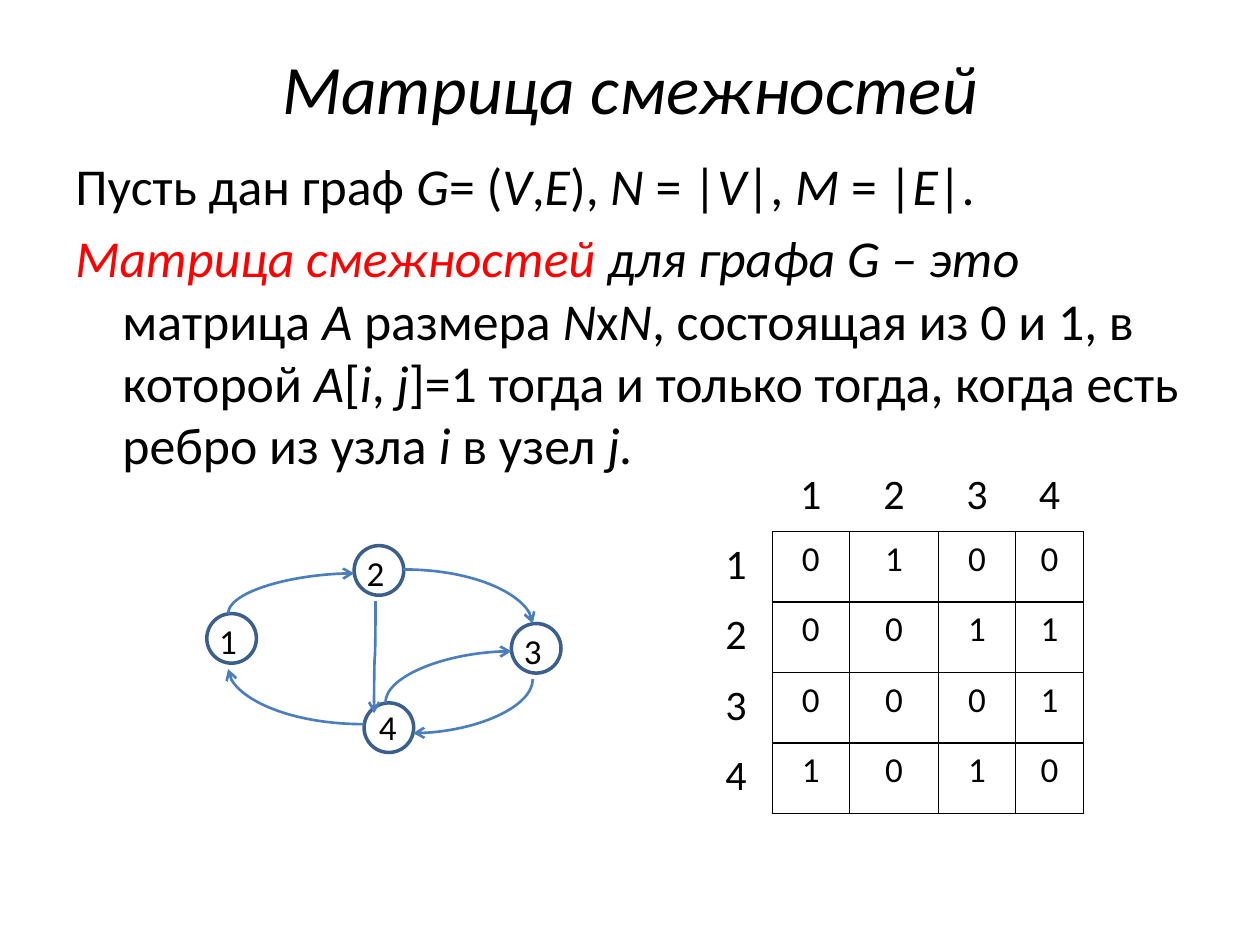
from dataclasses import dataclass

from lxml import etree
from pptx import Presentation
from pptx.dml.color import RGBColor
from pptx.enum.shapes import MSO_CONNECTOR, MSO_SHAPE
from pptx.enum.text import MSO_ANCHOR, PP_ALIGN
from pptx.oxml.ns import qn
from pptx.util import Cm, Pt

CURVE = MSO_CONNECTOR.CURVE
ELLIPSE = MSO_SHAPE.OVAL
CENTER = PP_ALIGN.CENTER
MIDDLE = MSO_ANCHOR.MIDDLE
PLAIN_TABLE = "{2D5ABB26-0587-4C30-8999-92F81FD0307C}"


@dataclass(frozen=True)
class Theme:
    font: str = "Calibri"
    ink: str = "000000"
    term: str = "FF0000"
    node_line: str = "3A5F8C"
    edge_line: str = "4B7EBC"
    title: float = 39.6
    body: float = 29.6
    heading: float = 24
    label: float = 20


THEME = Theme()

TITLE = "*Матрица смежностей*"
# Asterisks enclose italics.
DEFINITION = [
    "Пусть дан граф *G*= (*V*,*E*), *N* = |*V*|, *M* = |*E*|.",
    "*Матрица смежностей **для графа G – это *матрица *A* размера *N*х*N*, "
    "состоящая из 0 и 1, в которой *A*[*i*, *j*]=1 тогда и только тогда, "
    "когда есть ребро из узла *i* в узел* j.*",
]

NODE_SIZE = 1.0
# Vertex: left, top of its circle and the offset of its label, in cm.
NODES = {
    "1": (4.17, 12.37, 0, 0),
    "4": (7.34, 14.17, 0.05, -0.07),
    "2": (7.14, 11.0, 0, 0),
    "3": (10.31, 12.57, 0, 0),
}
# Start, end, preset curve, and whether the curve leaves vertically.
EDGES = [
    ((4.6, 12.37), (7.14, 11.56), "curvedConnector2", True),
    ((10.74, 13.69), (8.33, 14.78), "curvedConnector2", True),
    ((7.57, 12.12), (7.54, 14.38), "curvedConnector3", True),
    ((7.77, 14.17), (10.31, 13.13), "curvedConnector2", True),
    ((7.34, 14.6), (4.6, 13.49), "curvedConnector2", False),
    ((8.13, 11.48), (10.74, 12.57), "curvedConnector2", False),
]

MATRIX = [
    "0100",
    "0011",
    "0001",
    "1010",
]
COLUMN_WIDTHS = [1.47, 1.55, 1.8, 1.55, 1.37]
ROW_HEIGHTS = [1.4] + [1.42] * len(MATRIX)


def write(paragraph, marked_text, size):
    """Add runs to the paragraph, italic between asterisks."""
    for index, part in enumerate(marked_text.split("*")):
        if part:
            run = paragraph.add_run()
            run.text = part
            run.font.name = THEME.font
            run.font.size = Pt(size)
            run.font.italic = index % 2 == 1
            run.font.color.rgb = RGBColor.from_string(THEME.ink)


def add_text(slide, left, top, width, height, paragraphs, size, wrap=True):
    box = slide.shapes.add_textbox(Cm(left), Cm(top), Cm(width), Cm(height))
    frame = box.text_frame
    frame.word_wrap = wrap
    for index, marked_text in enumerate(paragraphs):
        paragraph = frame.add_paragraph() if index else frame.paragraphs[0]
        write(paragraph, marked_text, size)
    return frame


def add_title(slide):
    title = add_text(slide, 1.27, 0.76, 22.86, 2.0, [TITLE], THEME.title)
    title.vertical_anchor = MIDDLE
    title.paragraphs[0].alignment = CENTER


def add_definition(slide):
    definition = add_text(slide, 1.27, 2.97, 22.86, 5.94, DEFINITION, THEME.body)
    for paragraph in definition.paragraphs:
        paragraph.space_before = Pt(6)
        properties = paragraph._p.get_or_add_pPr()
        properties.set("marL", str(Cm(0.95)))
        properties.set("indent", str(Cm(-0.95)))
    term = definition.paragraphs[1].runs[0]
    term.font.color.rgb = RGBColor.from_string(THEME.term)


def add_node(slide, left, top):
    node = slide.shapes.add_shape(
        ELLIPSE, Cm(left), Cm(top), Cm(NODE_SIZE), Cm(NODE_SIZE))
    node.shadow.inherit = False
    node.fill.background()
    node.line.color.rgb = RGBColor.from_string(THEME.node_line)
    node.line.width = Pt(2)


def add_edge(slide, start, end, curve, vertical):
    """Draw a curved arrow; one that leaves vertically is a quarter turn."""
    (x1, y1), (x2, y2) = start, end
    half_x, half_y = (x2 - x1) / 2, (y2 - y1) / 2
    mid_x, mid_y = x1 + half_x, y1 + half_y
    if vertical:
        half_x, half_y = half_y, -half_x
    edge = slide.shapes.add_connector(
        CURVE, Cm(mid_x - half_x), Cm(mid_y - half_y),
        Cm(mid_x + half_x), Cm(mid_y + half_y))
    if vertical:
        edge.rotation = 90
    edge.line.color.rgb = RGBColor.from_string(THEME.edge_line)
    edge.line.width = Pt(1.5)
    properties = edge._element.spPr
    properties.find(qn("a:prstGeom")).set("prst", curve)
    etree.SubElement(properties.find(qn("a:ln")), qn("a:tailEnd"), type="arrow")
    etree.SubElement(properties, qn("a:effectLst"))


def add_graph(slide):
    for left, top, _, _ in NODES.values():
        add_node(slide, left, top)
    for edge in EDGES:
        add_edge(slide, *edge)
    for vertex, (left, top, shift_x, shift_y) in NODES.items():
        add_text(slide, left + shift_x, top + shift_y, 0.86, 1.12,
                 [vertex], THEME.label, wrap=False)


def add_borders(cell, sides):
    properties = cell._tc.get_or_add_tcPr()
    for side in sides:
        line = etree.SubElement(properties, qn("a:ln" + side), w=str(Pt(1)))
        fill = etree.SubElement(line, qn("a:solidFill"))
        etree.SubElement(fill, qn("a:srgbClr"), val=THEME.ink)


def fill_cell(cell, text, size):
    cell.margin_left = cell.margin_right = Cm(0.19)
    cell.margin_top = cell.margin_bottom = 0
    paragraph = cell.text_frame.paragraphs[0]
    paragraph.alignment = CENTER
    paragraph.line_spacing = 1.15
    write(paragraph, text, size)


def add_matrix(slide):
    vertices = [str(number + 1) for number in range(len(MATRIX))]
    rows = [["", *vertices]]
    rows += [[vertex, *values] for vertex, values in zip(vertices, MATRIX)]
    table = slide.shapes.add_table(
        len(rows), len(rows[0]), Cm(14.1), Cm(9.32),
        Cm(sum(COLUMN_WIDTHS)), Cm(sum(ROW_HEIGHTS))).table
    table.first_row = table.horz_banding = False
    table._tbl.tblPr.find(qn("a:tableStyleId")).text = PLAIN_TABLE
    for column, width in zip(table.columns, COLUMN_WIDTHS):
        column.width = Cm(width)
    for row, height in zip(table.rows, ROW_HEIGHTS):
        row.height = Cm(height)
    for i, values in enumerate(rows):
        for j, value in enumerate(values):
            cell = table.cell(i, j)
            inside = i > 0 and j > 0
            fill_cell(cell, value, THEME.label if inside else THEME.heading)
            if inside:
                add_borders(cell, "LRTB")
            elif i > 0:
                add_borders(cell, "R")
            elif j > 0:
                add_borders(cell, "B")
            cell.fill.background()


def main():
    presentation = Presentation()
    presentation.slide_width, presentation.slide_height = Cm(25.4), Cm(19.05)
    slide = presentation.slides.add_slide(presentation.slide_layouts[6])
    add_title(slide)
    add_definition(slide)
    add_graph(slide)
    add_matrix(slide)
    presentation.save("out.pptx")


if __name__ == "__main__":
    main()
